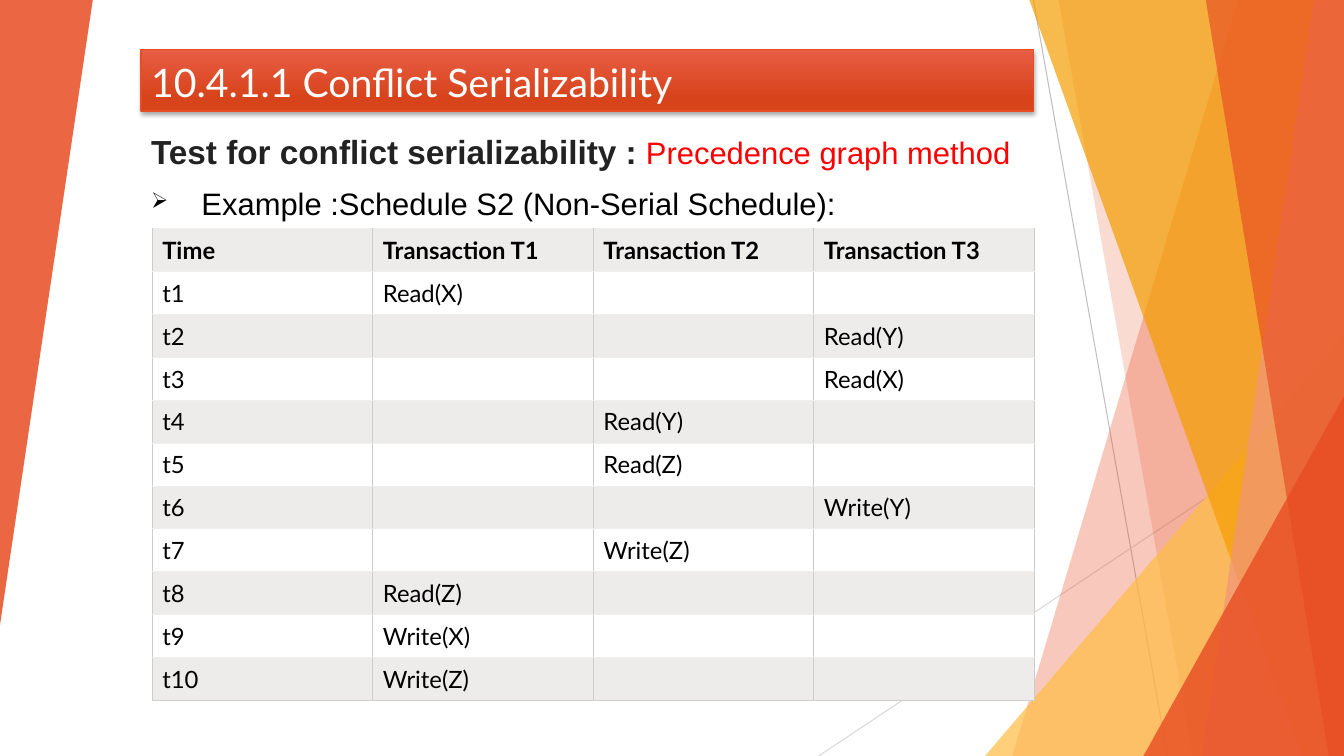
import pptx
import pptx.dml.color
import pptx.enum.dml
import pptx.enum.shapes
import pptx.enum.text
import pptx.oxml.xmlchemy
import pptx.util
from lxml import etree

Inches = pptx.util.Inches
Pt = pptx.util.Pt
RGBColor = pptx.dml.color.RGBColor
SHAPE = pptx.enum.shapes.MSO_SHAPE
ANCHOR = pptx.enum.text.MSO_ANCHOR
ALIGN = pptx.enum.text.PP_ALIGN

ORANGE = RGBColor(0xE8, 0x4C, 0x22)
AMBER = RGBColor(0xF4, 0x9D, 0x00)
YELLOW = RGBColor(0xFF, 0xBD, 0x47)
SALMON = RGBColor(0xF1, 0x94, 0x7A)
TITLE_TOP = RGBColor(0xE9, 0x5D, 0x45)
TITLE_BOTTOM = RGBColor(0xD7, 0x44, 0x1C)
WHITE = RGBColor(0xFF, 0xFF, 0xFF)
BLACK = RGBColor(0, 0, 0)
CHARCOAL = RGBColor(0x22, 0x22, 0x22)
RED = RGBColor(0xFF, 0, 0)
BAND = RGBColor(0xEE, 0xEB, 0xEB)
RULE = RGBColor(0xEE, 0xEE, 0xEE)
GRID = RGBColor(0xCC, 0xCC, 0xCC)
LINE_DARK = RGBColor(0xBF, 0xBF, 0xBF)
LINE_LIGHT = RGBColor(0xD9, 0xD9, 0xD9)

WIDTH, HEIGHT = 13.33, 7.5
HEADERS = ["Time", "Transaction T1", "Transaction T2", "Transaction T3"]
# Each operation with the number of its transaction, in time order
SCHEDULE = [
    (1, "Read(X)"), (3, "Read(Y)"), (3, "Read(X)"), (2, "Read(Y)"), (2, "Read(Z)"),
    (3, "Write(Y)"), (2, "Write(Z)"), (1, "Read(Z)"), (1, "Write(X)"), (1, "Write(Z)"),
]


def add_xml(parent, tag, **attributes):
    element = pptx.oxml.xmlchemy.OxmlElement(tag)
    for key, value in attributes.items():
        element.set(key, str(value))
    parent.append(element)
    return element


def style_font(font, name, size, color, bold=False):
    font.name, font.size, font.bold = name, Pt(size), bold
    font.color.rgb = color


class SlideBuilder:
    heading_font = "Lato"
    body_font = "Arial"

    def __init__(self, slide):
        self.slide = slide
        self.shapes = slide.shapes

    def line(self, start, end, color):
        points = [Inches(value) for value in (*start, *end)]
        line = self.shapes.add_connector(pptx.enum.shapes.MSO_CONNECTOR.STRAIGHT, *points)
        line.line.color.rgb = color
        line.line.width = Pt(0.75)
        add_xml(line._element.spPr, "a:effectLst")

    def paint(self, shape, color, opacity):
        """Give a borderless fill with the opacity in percent."""
        shape.shadow.inherit = False
        shape.line.fill.background()
        shape.fill.solid()
        shape.fill.fore_color.rgb = color
        rgb = shape._element.spPr.find(".//" + pptx.oxml.ns.qn("a:srgbClr"))
        add_xml(rgb, "a:alpha", val=opacity * 1000)

    def ribbon(self, top_x, bottom_x, color, opacity):
        """Fill from a slanted edge to the right side of the slide."""
        corners = [(top_x, 0), (WIDTH, 0), (WIDTH, HEIGHT), (bottom_x, HEIGHT)]
        points = [(Inches(x), Inches(y)) for x, y in corners]
        outline = self.shapes.build_freeform(*points[0])
        outline.add_line_segments(points[1:], close=True)
        self.paint(outline.convert_to_shape(), color, opacity)

    def corner(self, left, top, width, height, color, opacity, rotation=0):
        """Add a right-angled triangle, with its upright side on the right."""
        box = [Inches(value) for value in (left, top, width, height)]
        triangle = self.shapes.add_shape(SHAPE.ISOSCELES_TRIANGLE, *box)
        triangle.adjustments[0] = 1.0
        triangle.rotation = rotation
        self.paint(triangle, color, opacity)

    def title(self, text, left, top, width, height):
        title = self.shapes.title
        title.left, title.top = Inches(left), Inches(top)
        title.width, title.height = Inches(width), Inches(height)
        title.fill.gradient()
        title.fill.gradient_angle = 270
        stops = title.fill.gradient_stops
        for stop, color, position in zip(stops, (TITLE_TOP, TITLE_BOTTOM), (0, 0.78)):
            stop.color.rgb = color
            stop.position = position
        title.line.color.rgb = ORANGE
        title.line.width = Pt(1)
        effects = add_xml(title._element.spPr, "a:effectLst")
        shadow = add_xml(effects, "a:outerShdw", blurRad=Pt(3), dist=Pt(2),
                         dir=5400000, rotWithShape=0)
        add_xml(add_xml(shadow, "a:srgbClr", val=BLACK), "a:alpha", val=35000)
        frame = title.text_frame
        frame.text = text
        frame.auto_size = pptx.enum.text.MSO_AUTO_SIZE.NONE
        frame.vertical_anchor = ANCHOR.BOTTOM
        paragraph = frame.paragraphs[0]
        paragraph.alignment = ALIGN.LEFT
        style_font(paragraph.font, self.heading_font, 28, WHITE)

    def introduction(self, topic, method, example, left, top, width, height):
        box = [Inches(value) for value in (left, top, width, height)]
        frame = self.shapes.add_textbox(*box).text_frame
        frame.word_wrap = True
        heading = frame.paragraphs[0]
        heading.alignment = ALIGN.JUSTIFY
        for text, size, color, bold in ((topic, 23.8, CHARCOAL, True),
                                        (method, 22.1, RED, False)):
            run = heading.add_run()
            run.text = text
            style_font(run.font, self.body_font, size, color, bold)
        bullet = frame.add_paragraph()
        bullet.text = example
        bullet.alignment = ALIGN.JUSTIFY
        bullet.space_before = Pt(10)
        properties = bullet._p.get_or_add_pPr()
        properties.set("marL", str(Inches(0.5)))
        properties.set("indent", str(-Inches(0.5)))
        add_xml(add_xml(properties, "a:buClr"), "a:srgbClr", val=BLACK)
        add_xml(properties, "a:buSzPct", val=71000)
        add_xml(properties, "a:buChar", char="➢")
        style_font(bullet.font, self.body_font, 22.1, BLACK)

    def cell(self, cell, text, fill, bold, bottom):
        properties = cell._tc.get_or_add_tcPr()
        for side, color in (("L", GRID), ("R", GRID), ("T", RULE), ("B", bottom)):
            border = add_xml(properties, f"a:ln{side}", w=Pt(0.75))
            add_xml(add_xml(border, "a:solidFill"), "a:srgbClr", val=color)
        cell.fill.solid()
        cell.fill.fore_color.rgb = fill
        cell.vertical_anchor = ANCHOR.MIDDLE
        cell.text = text
        style_font(cell.text_frame.paragraphs[0].font, self.heading_font, 17, BLACK, bold)

    def table(self, rows, left, top, width, height):
        box = [Inches(value) for value in (left, top, width, height)]
        table = self.shapes.add_table(len(rows), len(rows[0]), *box).table
        for r, row in enumerate(rows):
            fill = WHITE if r % 2 else BAND
            bottom = GRID if r == len(rows) - 1 else RULE
            for c, text in enumerate(row):
                self.cell(table.cell(r, c), text, fill, r == 0, bottom)


def main():
    presentation = pptx.Presentation()
    presentation.slide_width = Inches(WIDTH)
    presentation.slide_height = Inches(HEIGHT)
    builder = SlideBuilder(presentation.slides.add_slide(presentation.slide_layouts[5]))

    builder.line((10.25, 0), (11.58, HEIGHT), LINE_DARK)
    builder.line((WIDTH, 4.03), (8.12, HEIGHT), LINE_LIGHT)
    builder.ribbon(12.28, 10.04, ORANGE, 30)
    builder.ribbon(10.5, 11.83, ORANGE, 20)
    builder.corner(9.77, 3.33, 3.56, 4.17, YELLOW, 72)
    builder.ribbon(10.21, 12.91, AMBER, 70)
    builder.ribbon(13.03, 11.92, SALMON, 70)
    builder.ribbon(11.96, 13.18, ORANGE, 65)
    builder.corner(11.34, 3.93, 1.99, 3.57, ORANGE, 80)
    builder.corner(0, 0, 0.92, 6.2, ORANGE, 85, rotation=180)

    builder.title("10.4.1.1 Conflict Serializability", 1.4, 0.49, 8.85, 0.61)
    builder.introduction("Test for conflict serializability : ", "Precedence graph method",
                         "Example :Schedule S2 (Non-Serial Schedule):", 1.4, 1.25, 8.85, 0.88)
    steps = [[f"t{time}"] + [operation if t == transaction else "" for t in (1, 2, 3)]
             for time, (transaction, operation) in enumerate(SCHEDULE, 1)]
    builder.table([HEADERS] + steps, 1.51, 2.27, 8.75, 4.68)
    presentation.save("out.pptx")


if __name__ == "__main__":
    main()
